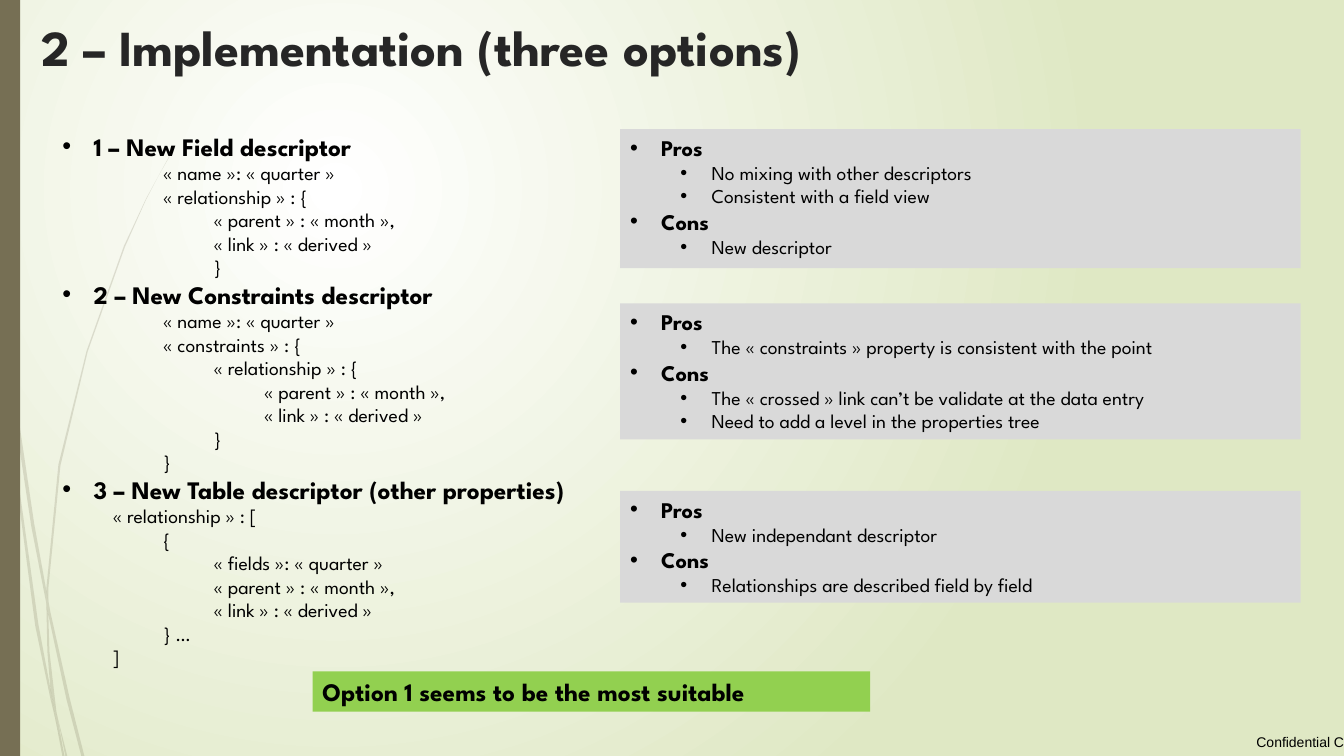
import pptx
import pptx.util
import pptx.dml.color
import pptx.enum.text
import pptx.oxml
import pptx.oxml.ns

Inches = pptx.util.Inches
RGB = pptx.dml.color.RGBColor.from_string
NS = pptx.oxml.ns.nsdecls("a")
THEME = {
    "bar": "766F54", "panel": "D9D9D9", "verdict": "92D050",
    "title_ink": "262626", "ink": "000000",
    "bg_center": "FFFFFF", "bg_edge": "DFE8C4",
    "font": "League Spartan", "footer_font": "Arial",
    "title": 36, "heading": 18, "panel_heading": 16, "body": 14, "footer": 10,
}


def add_run(p, text, size, bold=False, color=THEME["ink"], font=THEME["font"]):
    r = p.add_run()
    r.text = text
    r.font.color.rgb = RGB(color)
    for key, value in {"name": font, "size": pptx.util.Pt(size), "bold": bold}.items():
        setattr(r.font, key, value)


def add_outline(box, rows, heading_size, bullet_details):
    sp = slide.shapes.add_textbox(*[Inches(v) for v in box])
    tf = sp.text_frame
    tf.word_wrap = True
    for i, (level, text) in enumerate(rows):
        p = tf.paragraphs[0] if i == 0 else tf.add_paragraph()
        p.level = level
        heading = level == 0
        bullet = heading or bullet_details
        pPr = p._p.get_or_add_pPr()
        pPr.set("marL", str(Inches(0.5 * level + (0.31 if bullet else 0))))
        pPr.set("indent", str(Inches(-0.31 if bullet else 0)))
        if bullet:
            pPr.append(pptx.oxml.parse_xml(f'<a:buFont {NS} typeface="Arial"/>'))
            pPr.append(pptx.oxml.parse_xml(f'<a:buChar {NS} char="•"/>'))
        add_run(p, text, heading_size if heading else THEME["body"], heading)
    return sp


prs = pptx.Presentation()
prs.slide_width, prs.slide_height = Inches(13.33), Inches(7.5)
slide = prs.slides.add_slide(prs.slide_layouts[5])

fill = slide.background.fill
fill.gradient()
for stop, color in zip(fill.gradient_stops, ("bg_center", "bg_edge")):
    stop.color.rgb = RGB(THEME[color])
grad = slide.background._cSld.find(".//" + pptx.oxml.ns.qn("a:gradFill"))
grad.replace(grad.find(pptx.oxml.ns.qn("a:lin")), pptx.oxml.parse_xml(
    f'<a:path {NS} path="circle"><a:fillToRect l="50000" t="50000" r="100000" b="100000"/></a:path>'))

wisps = [
    [(0.06, 3.5), (0.05, 3.22), (0, 2.82), (0, 2.99), (0.05, 3.44)],
    [(0.31, 5.22), (0.46, 5.99), (0.46, 5.86), (0.34, 5.2), (0.08, 3.45), (0.09, 3.76)],
    [(0.5, 6.07), (0.48, 5.96), (0.48, 6.1), (0.66, 6.94), (0.81, 7.51), (0.84, 7.51),
     (0.69, 6.92)],
    [(0.65, 7.51), (0.67, 7.51), (0.57, 7.11)],
    [(0.5, 6.83), (0.38, 6.19), (0.17, 4.69), (0.09, 3.76), (0.06, 3.5), (0.15, 4.7),
     (0.35, 6.21), (0.5, 6.93), (0.55, 7.14), (0.54, 7.07)],
    [(0.04, 3.16), (0.05, 3.22), (0.07, 3.44), (0.08, 3.45), (0.06, 3.15), (0.03, 1.61),
     (0.05, 0.25), (0.02, 1.61)],
    [(0.46, 5.99), (0.47, 6.46), (0.5, 6.83), (0.52, 6.92), (0.57, 7.11), (0.56, 7.06),
     (0.49, 6.46), (0.48, 6.1), (0.47, 6.08)],
    [(0.48, 5.84), (0.6, 4.62), (0.87, 3.49), (1.24, 2.45), (1.45, 1.98), (1.57, 1.75),
     (1.69, 1.54), (1.69, 1.53), (1.57, 1.75), (1.45, 1.97), (1.23, 2.44), (0.86, 3.48),
     (0.58, 4.61), (0.46, 5.84), (0.46, 5.86), (0.48, 5.96)],
    [(0.55, 7.14), (0.62, 7.51), (0.64, 7.51)],
    [(0.47, 6.08), (0.48, 6.1), (0.48, 5.96), (0.46, 5.86), (0.46, 5.99)],
    [(0.52, 6.92), (0.5, 6.83), (0.54, 7.07), (0.55, 7.14), (0.64, 7.51), (0.57, 7.11)],
]
for wisp in wisps:
    points = [(Inches(x), Inches(y)) for x, y in wisp]
    builder = slide.shapes.build_freeform(*points[0])
    builder.add_line_segments(points[1:], close=True)
    sp = builder.convert_to_shape()
    sp.shadow.inherit = False
    sp.line.fill.background()
    sp.fill.solid()
    sp.fill.fore_color.rgb = RGB(THEME["bar"])
    color = sp._element.spPr.find(".//" + pptx.oxml.ns.qn("a:srgbClr"))
    color.append(pptx.oxml.parse_xml(f'<a:alpha {NS} val="20000"/>'))

bar = slide.shapes.add_shape(1, 0, 0, Inches(0.2), prs.slide_height)
bar.shadow.inherit = False
bar.fill.solid()
bar.fill.fore_color.rgb = RGB(THEME["bar"])
bar.line.fill.background()

footer = slide.shapes.add_textbox(Inches(12.15), Inches(7.23), Inches(1.18), Inches(0.27))
tf = footer.text_frame
for key, value in {"margin_left": 0, "margin_right": 0, "margin_top": 0, "margin_bottom": 0,
                   "word_wrap": True,
                   "vertical_anchor": pptx.enum.text.MSO_ANCHOR.MIDDLE}.items():
    setattr(tf, key, value)
p = tf.paragraphs[0]
p.alignment = pptx.enum.text.PP_ALIGN.RIGHT
add_run(p, "Confidential C", THEME["footer"], font=THEME["footer_font"])

title = slide.shapes.title
for key, value in {"left": 0.31, "top": 0.04, "width": 11.14, "height": 0.84}.items():
    setattr(title, key, Inches(value))
title.text_frame.vertical_anchor = pptx.enum.text.MSO_ANCHOR.MIDDLE
p = title.text_frame.paragraphs[0]
p.alignment = pptx.enum.text.PP_ALIGN.LEFT
add_run(p, "2 – Implementation (three options)", THEME["title"], True, THEME["title_ink"])

name = "«\u00a0name\u00a0»: «\u00a0quarter\u00a0»"
relationship = "«\u00a0relationship\u00a0» : "
parent = "«\u00a0parent\u00a0» : «\u00a0month\u00a0»,"
link = "«\u00a0link\u00a0» : «\u00a0derived\u00a0»"
options = [
    (0, "1 – New Field descriptor"),
    (2, name), (2, relationship + "{"), (3, parent), (3, link), (3, "}"),
    (0, "2 – New Constraints descriptor"),
    (2, name), (2, "«\u00a0constraints\u00a0» : {"), (3, relationship + "{"),
    (4, parent), (4, link), (3, "}"), (2, "}"),
    (0, "3 – New Table descriptor (other properties)"),
    (1, relationship + "["), (2, "{"), (3, "«\u00a0fields\u00a0»: «\u00a0quarter »"),
    (3, parent), (3, link), (2, "} …"), (1, "]"),
]
add_outline((0.52, 1.25, 6.75, 5.49), options, THEME["heading"], False)

panels = [
    (1.28, 1.38, ["No mixing with other descriptors", "Consistent with a field view"],
     ["New descriptor"]),
    (3.01, 1.35, ["The «\u00a0constraints\u00a0» property is consistent with the point"],
     ["The «\u00a0crossed\u00a0» link can’t be validate at the data entry",
      "Need to add a level in the properties tree"]),
    (4.87, 1.11, ["New independant descriptor"], ["Relationships are described field by field"]),
]
for top, height, pros, cons in panels:
    rows = [(0, "Pros")] + [(1, t) for t in pros] + [(0, "Cons")] + [(1, t) for t in cons]
    sp = add_outline((6.15, top, 6.75, height), rows, THEME["panel_heading"], True)
    sp.fill.solid()
    sp.fill.fore_color.rgb = RGB(THEME["panel"])

verdict = slide.shapes.add_textbox(Inches(3.1), Inches(6.66), Inches(5.53), Inches(0.4))
verdict.fill.solid()
verdict.fill.fore_color.rgb = RGB(THEME["verdict"])
verdict.text_frame.word_wrap = True
add_run(verdict.text_frame.paragraphs[0], "Option 1 seems to be the most suitable",
        THEME["heading"], True)

prs.save("out.pptx")
